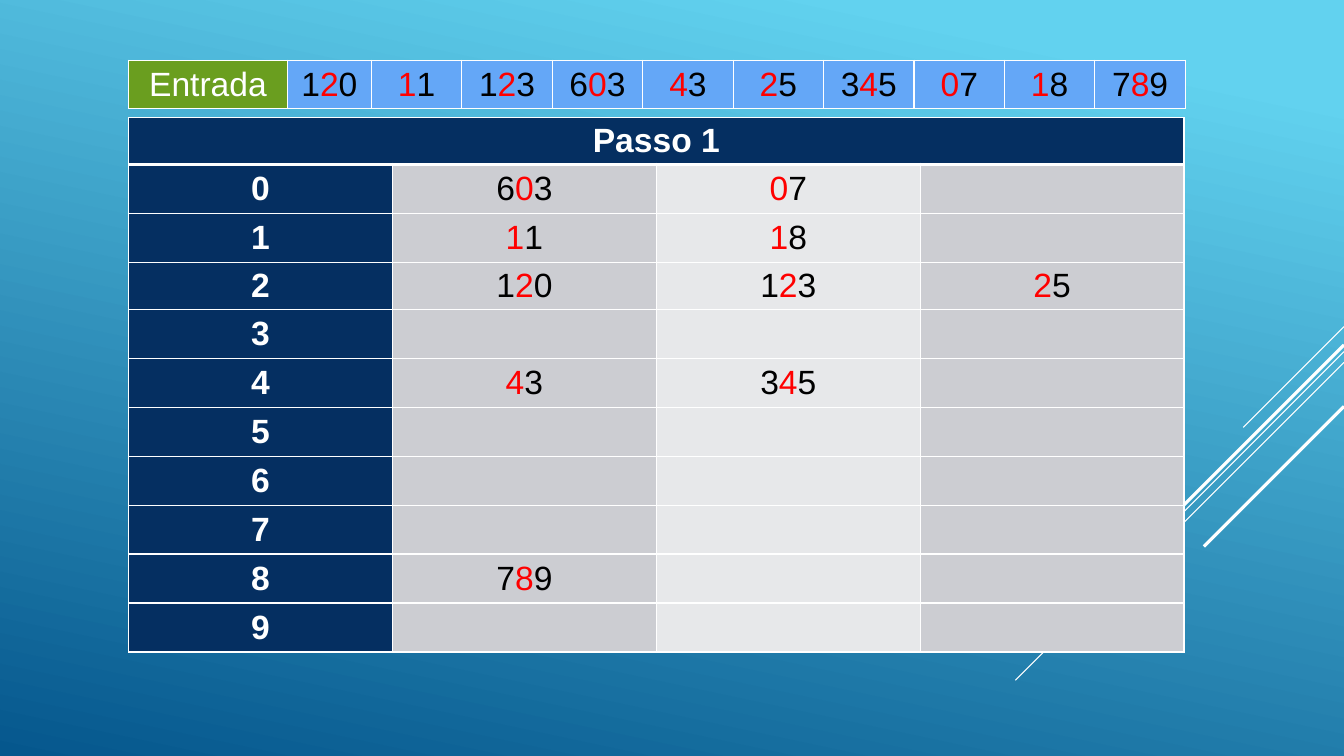
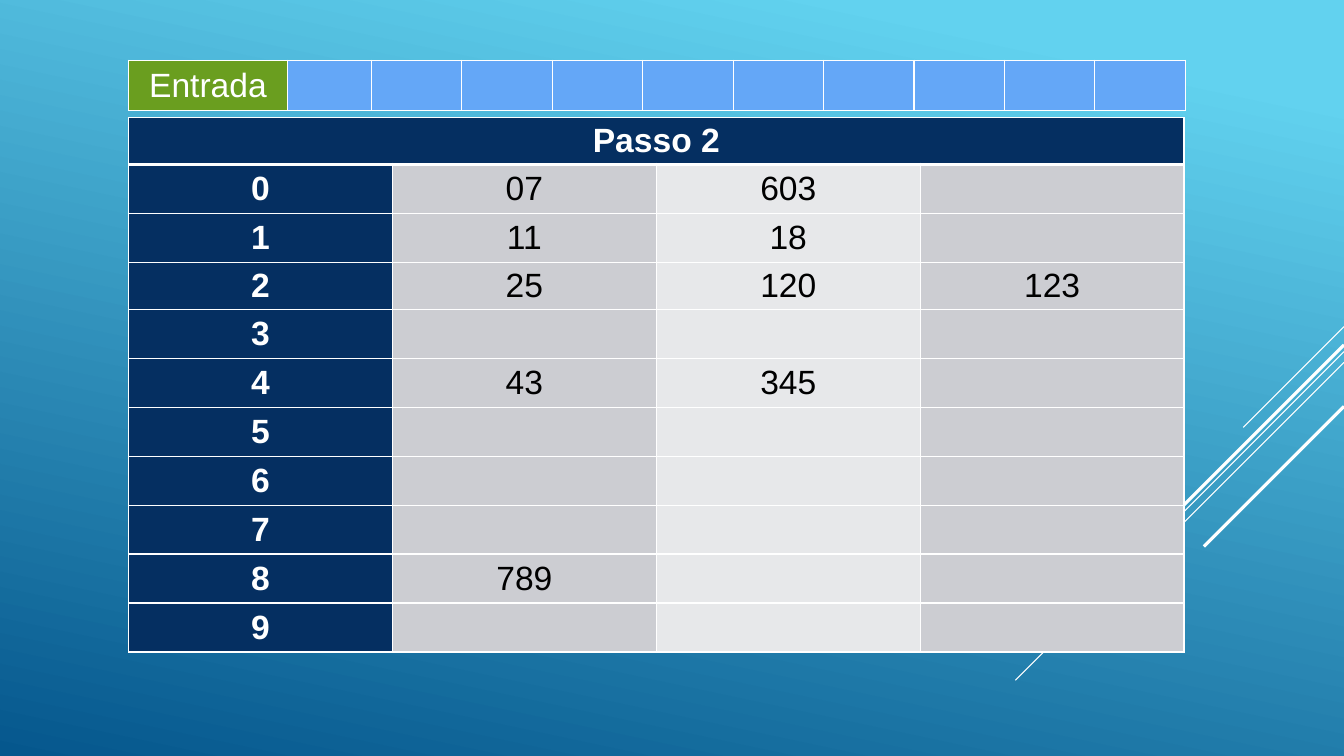
import pptx
import pptx.dml.color
import pptx.enum.shapes
import pptx.enum.text
import pptx.oxml.ns
import pptx.util
from lxml import etree

Cm = pptx.util.Cm
Pt = pptx.util.Pt

FONT = "Arial"
TEXT_SIZE = 24
WHITE, BLACK, RED = "FFFFFF", "000000", "FF0000"
NAVY, GREEN, BLUE = "052F61", "6A9E1F", "64A7F7"
BUCKET_FILLS = ["CCCDD2", "E7E8EA", "CCCDD2"]
SKY, DEEP = "62D2EF", "05578D"

SLIDE_WIDTH, SLIDE_HEIGHT = 33.87, 19.05
RAYS = [
    (8.23, 2.54, 0.75),
    (8.86, 8.28, 0.75),
    (9.13, 5.26, 0.75),
    (8.69, 4.85, 2.25),
    (10.24, 3.53, 2.25),
]
INPUT_BOX = (3.24, 1.52, 26.64, 1.22)
STEP_BOX = (3.24, 2.97, 26.6, 12.95)
INPUT_LABEL_WIDTH, INPUT_FIRST_WIDTH = 4, 2.12

NUMBERS = ["120", "11", "123", "603", "43", "25", "345", "07", "18", "789"]
STEPS = [
    {
        "title": "Passo 1",
        "input": NUMBERS,
        "buckets": {
            0: ["603", "07"],
            1: ["11", "18"],
            2: ["120", "123", "25"],
            4: ["43", "345"],
            8: ["789"],
        },
        "mark_tens": True,
    },
    {
        "title": "Passo 2",
        "input": [""] * len(NUMBERS),
        "buckets": {
            0: ["07", "603"],
            1: ["11", "18"],
            2: ["25", "120", "123"],
            4: ["43", "345"],
            8: ["789"],
        },
        "mark_tens": False,
    },
]


def color(value):
    return pptx.dml.color.RGBColor.from_string(value)


def paint_background(master):
    fill = master.background.fill
    fill.gradient()
    fill.gradient_angle = 258
    for stop, value, position in zip(fill.gradient_stops, (SKY, DEEP), (0.1, 1)):
        stop.color.rgb = color(value)
        stop.position = position


def add_rays(slide):
    for top, reach, weight in RAYS:
        ray = slide.shapes.add_connector(
            pptx.enum.shapes.MSO_CONNECTOR.STRAIGHT,
            Cm(SLIDE_WIDTH), Cm(top), Cm(SLIDE_WIDTH - reach), Cm(top + reach),
        )
        ray.line.color.rgb = color(WHITE)
        ray.line.width = Pt(weight)
        etree.SubElement(ray.element.spPr, pptx.oxml.ns.qn("a:effectLst"))


def set_borders(cell, top=1, bottom=1):
    properties = cell._tc.get_or_add_tcPr()
    for side, weight in (("L", 1), ("R", 1), ("T", top), ("B", bottom)):
        line = etree.SubElement(
            properties, pptx.oxml.ns.qn("a:ln" + side), w=str(Pt(weight))
        )
        fill = etree.SubElement(line, pptx.oxml.ns.qn("a:solidFill"))
        etree.SubElement(fill, pptx.oxml.ns.qn("a:srgbClr"), val=WHITE)


def format_span(span, value, bold):
    span.font.name = FONT
    span.font.size = Pt(TEXT_SIZE)
    span.font.bold = bold
    span.font.color.rgb = color(value)


def fill_cell(cell, text, fill, ink=BLACK, bold=False, mark_tens=False,
              margin=0.1, top=1, bottom=1):
    set_borders(cell, top, bottom)
    cell.fill.solid()
    cell.fill.fore_color.rgb = color(fill)
    cell.vertical_anchor = pptx.enum.text.MSO_ANCHOR.MIDDLE
    cell.margin_top = cell.margin_bottom = Cm(margin)
    para = cell.text_frame.paragraphs[0]
    para.alignment = pptx.enum.text.PP_ALIGN.CENTER
    para.font.size = Pt(TEXT_SIZE)
    pieces = [(text, ink)]
    if mark_tens:
        pieces = [(text[:-2], ink), (text[-2:-1], RED), (text[-1:], ink)]
    for piece, value in pieces:
        if piece:
            span = para.add_run()
            span.text = piece
            format_span(span, value, bold)


def add_plain_table(slide, box, row_count, widths):
    left, top, width, height = box
    table = slide.shapes.add_table(
        row_count, len(widths), Cm(left), Cm(top), Cm(width), Cm(height)
    ).table
    table.first_row = False
    table.horz_banding = False
    for column, column_width in zip(table.columns, widths):
        column.width = Cm(column_width)
    for row in table.rows:
        row.height = Cm(height / row_count)
    return table


def add_step_table(slide, box, step):
    column_count = 1 + len(BUCKET_FILLS)
    widths = [box[2] / column_count] * column_count
    table = add_plain_table(slide, box, 11, widths)
    for column in range(column_count):
        title = step["title"] if column == 0 else ""
        fill_cell(table.cell(0, column), title, NAVY, WHITE, True, bottom=3)
    table.cell(0, 0).merge(table.cell(0, column_count - 1))
    for digit in range(10):
        row = digit + 1
        top = 3 if digit == 0 else 1
        fill_cell(table.cell(row, 0), str(digit), NAVY, WHITE, True, top=top)
        values = step["buckets"].get(digit, [])
        for column, fill in enumerate(BUCKET_FILLS):
            text = values[column] if column < len(values) else ""
            fill_cell(table.cell(row, column + 1), text, fill,
                      mark_tens=step["mark_tens"], top=top)


def add_input_table(slide, box, step):
    numbers = step["input"]
    rest = len(numbers) - 1
    rest_width = (box[2] - INPUT_LABEL_WIDTH - INPUT_FIRST_WIDTH) / rest
    widths = [INPUT_LABEL_WIDTH, INPUT_FIRST_WIDTH] + [rest_width] * rest
    table = add_plain_table(slide, box, 1, widths)
    fill_cell(table.cell(0, 0), "Entrada", GREEN, WHITE, margin=0.12)
    for column, number in enumerate(numbers, 1):
        fill_cell(table.cell(0, column), number, BLUE,
                  mark_tens=step["mark_tens"], margin=0.12)


def add_step_slide(deck, step):
    slide = deck.slides.add_slide(deck.slide_layouts.get_by_name("Blank"))
    add_rays(slide)
    add_step_table(slide, STEP_BOX, step)
    add_input_table(slide, INPUT_BOX, step)


def main():
    deck = pptx.Presentation()
    deck.slide_width = Cm(SLIDE_WIDTH)
    deck.slide_height = Cm(SLIDE_HEIGHT)
    paint_background(deck.slide_master)
    for step in STEPS:
        add_step_slide(deck, step)
    deck.save("out.pptx")


if __name__ == "__main__":
    main()
